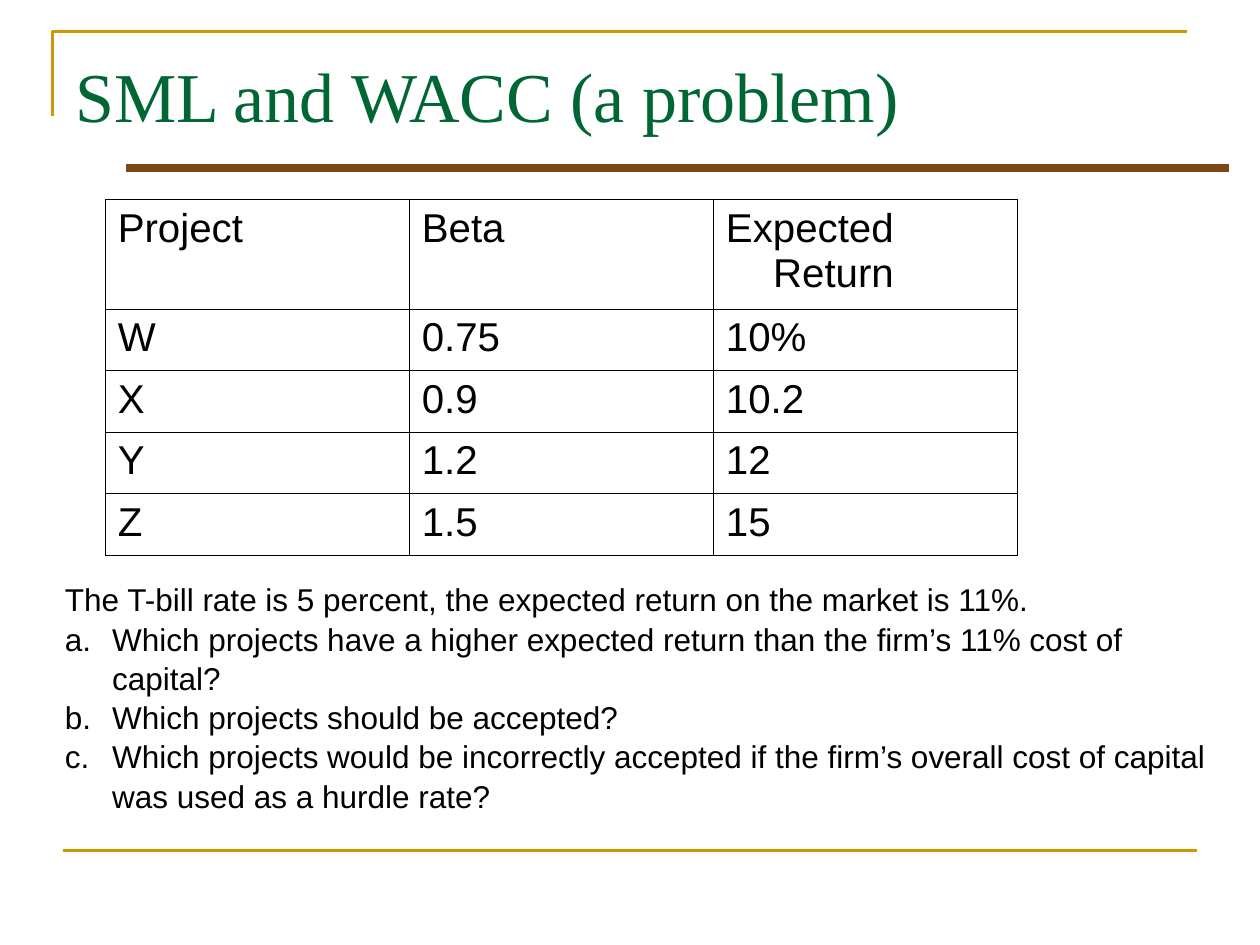
import dataclasses

import lxml.etree
import pptx
import pptx.dml.color
import pptx.enum.shapes
import pptx.enum.text
import pptx.oxml.ns
import pptx.util
from pptx.util import Cm, Pt


@dataclasses.dataclass(frozen=True)
class Theme:
    gold: str = "CC9900"
    brown: str = "7C4818"
    green: str = "006633"
    black: str = "000000"
    title_font: str = "Times New Roman"
    body_font: str = "Arial"
    title_size: float = 40
    table_size: float = 23
    body_size: float = 18
    frame_width: float = 1.5
    rule_width: float = 4.5
    border_width: float = 0.45


THEME = Theme()

PROJECTS = [
    ("Project", "Beta", "Expected Return"),
    ("W", "0.75", "10%"),
    ("X", "0.9", "10.2"),
    ("Y", "1.2", "12"),
    ("Z", "1.5", "15"),
]
PREMISE = "The T-bill rate is 5 percent, the expected return on the market is 11%."
QUESTIONS = [
    "Which projects have a higher expected return than the firm’s 11% cost of capital?",
    "Which projects should be accepted?",
    "Which projects would be incorrectly accepted if the firm’s overall cost of capital was used as a hurdle rate?",
]


def color(value):
    return pptx.dml.color.RGBColor.from_string(value)


def add_element(parent, tag, **attributes):
    return lxml.etree.SubElement(parent, pptx.oxml.ns.qn(tag), attributes)


def style_line(line, value, width):
    line.color.rgb = color(value)
    line.width = Pt(width)


def style_text(para, font, size, value):
    for span in para.runs:
        span.font.name = font
        span.font.size = Pt(size)
        span.font.color.rgb = color(value)


def hang(para):
    properties = para._p.get_or_add_pPr()
    properties.set("marL", str(Cm(0.95)))
    properties.set("indent", str(-Cm(0.95)))
    return properties


def add_rule(slide, left, right, top, value, width):
    rule = slide.shapes.add_connector(
        pptx.enum.shapes.MSO_CONNECTOR.STRAIGHT, Cm(left), Cm(top), Cm(right), Cm(top))
    style_line(rule.line, value, width)
    add_element(rule._element.spPr, "a:effectLst")


def add_corner(slide):
    builder = slide.shapes.build_freeform(Cm(1.06), Cm(2.33))
    builder.add_line_segments(
        [(Cm(1.06), Cm(0.64)), (Cm(23.92), Cm(0.64))], close=False)
    corner = builder.convert_to_shape()
    corner.shadow.inherit = False
    corner.fill.background()
    style_line(corner.line, THEME.gold, THEME.frame_width)


def add_box(slide, left, top, width, height):
    box = slide.shapes.add_textbox(Cm(left), Cm(top), Cm(width), Cm(height))
    box.text_frame.word_wrap = True
    return box.text_frame


def add_title(slide, text):
    frame = add_box(slide, 1.27, 0.76, 22.86, 3.18)
    frame.margin_top = Cm(0.3)
    frame.text = text
    style_text(frame.paragraphs[0], THEME.title_font, THEME.title_size, THEME.green)


def add_borders(cell):
    properties = cell._tc.get_or_add_tcPr()
    for side in ("a:lnL", "a:lnR", "a:lnT", "a:lnB"):
        border = add_element(properties, side, w=str(Pt(THEME.border_width)))
        fill = add_element(border, "a:solidFill")
        add_element(fill, "a:srgbClr", val=THEME.black)


def add_project_table(slide):
    table = slide.shapes.add_table(
        len(PROJECTS), len(PROJECTS[0]), Cm(2.12), Cm(4.02), Cm(18.4), Cm(7.15)).table
    table.first_row = False
    table.horz_banding = False
    for column in table.columns:
        column.width = Cm(6.13)
    for index, row in enumerate(table.rows):
        row.height = Cm(1.24 if index else 2.21)
    for cell, text in zip(table.iter_cells(), (text for row in PROJECTS for text in row)):
        cell.text = text
        add_borders(cell)
        cell.fill.background()
        para = cell.text_frame.paragraphs[0]
        hang(para)
        style_text(para, THEME.body_font, THEME.table_size, THEME.black)


def add_questions(slide):
    frame = add_box(slide, 1.06, 11.63, 23.92, 4.83)
    frame.vertical_anchor = pptx.enum.text.MSO_ANCHOR.MIDDLE
    frame.auto_size = pptx.enum.text.MSO_AUTO_SIZE.SHAPE_TO_FIT_TEXT
    frame.text = "\n".join([PREMISE, *QUESTIONS])
    for index, para in enumerate(frame.paragraphs):
        properties = hang(para)
        para.line_spacing = 1.04
        if index:
            bullet_color = add_element(properties, "a:buClr")
            add_element(bullet_color, "a:srgbClr", val=THEME.black)
            add_element(properties, "a:buFont", typeface=THEME.body_font)
            add_element(properties, "a:buAutoNum", type="alphaLcPeriod")
        style_text(para, THEME.body_font, THEME.body_size, THEME.black)


def main():
    deck = pptx.Presentation()
    deck.slide_width = Cm(25.4)
    deck.slide_height = Cm(19.05)
    slide = deck.slides.add_slide(deck.slide_layouts[6])
    add_corner(slide)
    add_rule(slide, 1.27, 24.13, 17.15, THEME.gold, THEME.frame_width)
    add_rule(slide, 2.54, 24.77, 3.39, THEME.brown, THEME.rule_width)
    add_title(slide, "SML and WACC (a problem)")
    add_project_table(slide)
    add_questions(slide)
    deck.save("out.pptx")


if __name__ == "__main__":
    main()
